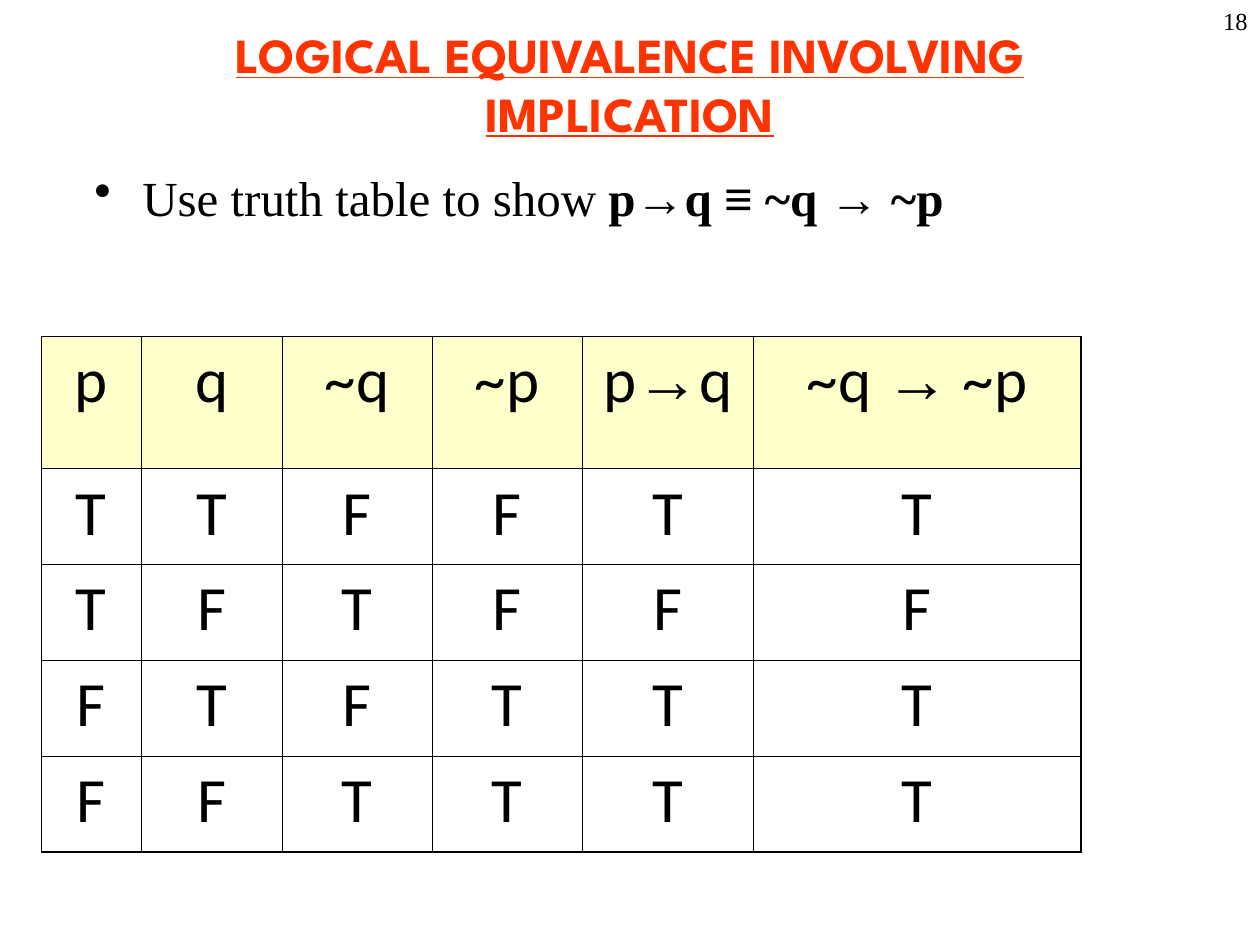
from pptx import Presentation
from pptx.dml.color import RGBColor
from pptx.enum.text import MSO_ANCHOR as ANCHOR, PP_ALIGN as ALIGN
from pptx.oxml import parse_xml
from pptx.oxml.ns import nsdecls
from pptx.util import Inches, Pt

COLORS = {"ink": "000000", "title": "FF3300", "header": "FFFFCC"}
W, H = 10, 7.5
THIN, THICK = 0.45, 1.08
ARROW = "→"


class SlideBuilder:
    """Places elements by shares of the slide's size."""

    def __init__(self, prs):
        self.prs = prs
        self.s = prs.slides.add_slide(prs.slide_layouts[6])

    def box(self, x, y, w, h):
        sw, sh = self.prs.slide_width, self.prs.slide_height
        return round(x * sw), round(y * sh), round(w * sw), round(h * sh)

    def runs(self, p, parts, color="ink", **fmt):
        """Adds runs; each part is its text and the format that differs."""
        for text, extra in parts:
            r = p.add_run()
            r.text = text
            for key, value in {**fmt, **extra}.items():
                setattr(r.font, key, value)
            r.font.color.rgb = RGBColor.from_string(COLORS[color])

    def text(self, area, parts, align=ALIGN.LEFT, anchor=ANCHOR.TOP,
             inset=(0, 0), bullet=False, **fmt):
        tf = self.s.shapes.add_textbox(*self.box(*area)).text_frame
        tf.word_wrap = True
        tf.vertical_anchor = anchor
        tf.margin_left = tf.margin_right = Inches(inset[0])
        tf.margin_top = tf.margin_bottom = Inches(inset[1])
        p = tf.paragraphs[0]
        p.alignment = align
        if bullet:
            pPr = p._p.get_or_add_pPr()
            pPr.set("marL", str(Inches(0.38)))
            pPr.set("indent", str(-Inches(0.38)))
            pPr.append(parse_xml(f'<a:buChar {nsdecls("a")} char="•"/>'))
        self.runs(p, parts, **fmt)

    def border(self, cell, side, width):
        cell._tc.get_or_add_tcPr().append(parse_xml(
            f'<a:ln{side} {nsdecls("a")} w="{Pt(width)}"><a:solidFill>'
            f'<a:srgbClr val="{COLORS["ink"]}"/></a:solidFill></a:ln{side}>'))

    def table(self, area, rows, widths, heights, **fmt):
        n, m = len(rows), len(widths)
        frame = self.s.shapes.add_table(n, m, *self.box(*area))
        table = frame.table
        for column, width in zip(table.columns, widths):
            column.width = Inches(width)
        for row, height in zip(table.rows, heights):
            row.height = Inches(height)
        for i, row in enumerate(rows):
            for j, value in enumerate(row):
                cell = table.cell(i, j)
                # The top edge is thin over the two negated columns
                thick = {"L": j == 0, "R": j == m - 1,
                         "T": i == 0 and j not in (2, 3), "B": i == n - 1}
                for side, is_thick in thick.items():
                    self.border(cell, side, THICK if is_thick else THIN)
                if i == 0:
                    cell.fill.solid()
                    cell.fill.fore_color.rgb = RGBColor.from_string(COLORS["header"])
                else:
                    cell.fill.background()
                p = cell.text_frame.paragraphs[0]
                p.alignment = ALIGN.CENTER
                p.space_after = Pt(10)
                self.runs(p, with_symbols(value), bold=False, **fmt)


def with_symbols(text):
    """Splits a formula so that its symbols are set in Arial."""
    left, arrow, right = text.partition(ARROW)
    parts = [(left, {}), (arrow, {"name": "Arial"}), (right, {})]
    return [part for part in parts if part[0]]


def main():
    prs = Presentation()
    prs.slide_width, prs.slide_height = Inches(W), Inches(H)
    slide = SlideBuilder(prs)

    # Title
    slide.text((0.075, 0.08 / H, 0.85, 1.17 / H),
               [("LOGICAL EQUIVALENCE INVOLVING IMPLICATION", {})],
               align=ALIGN.CENTER, anchor=ANCHOR.MIDDLE, color="title",
               name="League Spartan", size=Pt(28), bold=True, underline=True)

    # Task
    bold, symbol = {"bold": True}, {"bold": True, "name": "Arial"}
    slide.text((0.075, 1.33 / H, 0.85, 0.67 / H),
               [("Use truth table to show ", {}), ("p", bold), (ARROW, symbol),
                ("q ", bold), ("≡", symbol), (" ~q ", bold), (ARROW, symbol),
                (" ~p", bold)],
               bullet=True, name="Times New Roman", size=Pt(28))

    # Page number
    slide.text((0.792, 0, 0.208, 0.5 / H), [("18", {})], align=ALIGN.RIGHT,
               inset=(0.1, 0.05), name="Times New Roman", size=Pt(14))

    # Truth table
    header = ["p", "q", "~q", "~p", "p→q", "~q → ~p"]
    values = ["TTFFTT", "TFTFFF", "FTFTTT", "FFTTTT"]
    slide.table((0.033, 2.67 / H, 0.825, 4.08 / H), [header, *values],
                widths=[0.79, 1.12, 1.19, 1.19, 1.36, 2.6],
                heights=[1.05] + [0.76] * len(values),
                name="Calibri", size=Pt(36))

    prs.save("out.pptx")


if __name__ == "__main__":
    main()
